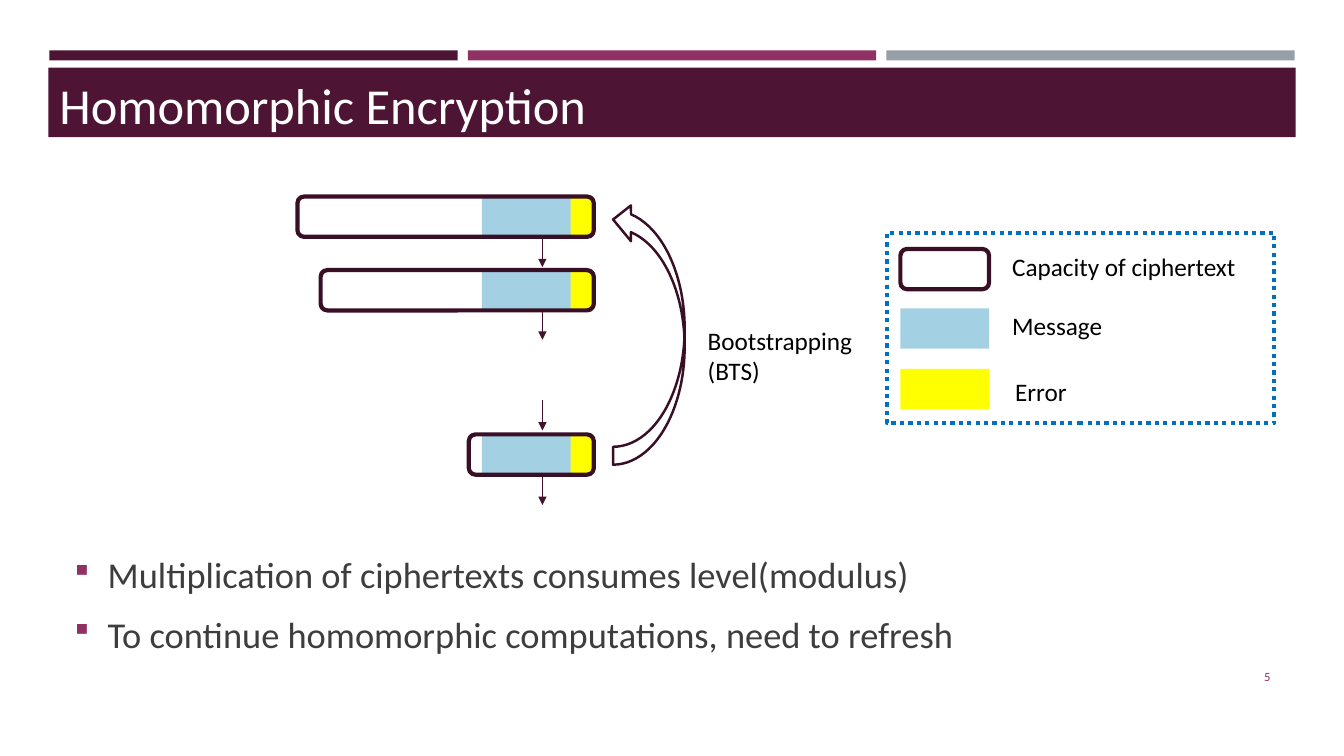
from dataclasses import dataclass

from lxml import etree
from pptx import Presentation
from pptx.dml.color import RGBColor
from pptx.enum.dml import MSO_LINE
from pptx.enum.shapes import MSO_CONNECTOR, MSO_SHAPE
from pptx.enum.text import MSO_ANCHOR, PP_ALIGN
from pptx.oxml.ns import qn
from pptx.util import Inches, Pt

RECT = MSO_SHAPE.RECTANGLE
ROUNDED = MSO_SHAPE.ROUNDED_RECTANGLE
CURVED_ARROW = MSO_SHAPE.CURVED_LEFT_ARROW
STRAIGHT = MSO_CONNECTOR.STRAIGHT
DOTTED = MSO_LINE.ROUND_DOT
TOP, MIDDLE = MSO_ANCHOR.TOP, MSO_ANCHOR.MIDDLE
LEFT, RIGHT = PP_ALIGN.LEFT, PP_ALIGN.RIGHT


@dataclass(frozen=True)
class Theme:
    font: str = "Calibri"
    plum: str = "4D1434"
    berry: str = "903163"
    grey: str = "969FA7"
    outline: str = "390F26"
    arrow: str = "45122F"
    message: str = "A3D0E2"
    error: str = "FFFF00"
    frame: str = "0070C0"
    white: str = "FFFFFF"
    black: str = "000000"
    body: str = "3D3D3D"
    title_size: float = 36
    body_size: float = 26
    label_size: float = 18
    number_size: float = 9


@dataclass(frozen=True)
class Box:
    left: float
    top: float
    width: float
    height: float

    def emu(self) -> tuple:
        return tuple(Inches(v) for v in (self.left, self.top, self.width, self.height))


@dataclass(frozen=True)
class Ciphertext:
    top: float
    width: float


@dataclass(frozen=True)
class LegendLabel:
    text: str
    left: float
    top: float


THEME = Theme()
BLOCK_W, BLOCK_H = 0.88, 0.4
BAR_RIGHT, MESSAGE_LEFT = 5.89, 4.78
ARROW_X, ARROW_LENGTH = 5.38, 0.3
CIPHERTEXTS = [Ciphertext(1.95, 2.94), Ciphertext(2.68, 2.71), Ciphertext(4.31, 1.24)]
ARROW_TOPS = [2.35, 3.07, 3.97, 4.71]
LEGEND_LEFT = 8.93
LEGEND_LABELS = [
    LegendLabel("Capacity of ciphertext", 9.94, 2.44),
    LegendLabel("Message", 9.94, 3.03),
    LegendLabel("Error", 9.97, 3.68),
]
BULLETS = [
    "Multiplication of ciphertexts consumes level(modulus)",
    "To continue homomorphic computations, need to refresh",
]


def rgb(color: str) -> RGBColor:
    return RGBColor.from_string(color)


def add_block(shapes, box: Box, fill: str = "", line: str = "", weight: float = 3, kind=RECT):
    sp = shapes.add_shape(kind, *box.emu())
    sp.shadow.inherit = False
    if fill:
        sp.fill.solid()
        sp.fill.fore_color.rgb = rgb(fill)
    else:
        sp.fill.background()
    if line:
        sp.line.color.rgb = rgb(line)
        sp.line.width = Pt(weight)
    else:
        sp.line.fill.background()
    return sp


def add_run(p, text: str, size: float, color: str) -> None:
    r = p.add_run()
    r.text = text
    r.font.name = THEME.font
    r.font.size = Pt(size)
    r.font.color.rgb = rgb(color)


def add_text_frame(shapes, box: Box, anchor=TOP):
    tf = shapes.add_textbox(*box.emu()).text_frame
    tf.word_wrap = True
    tf.vertical_anchor = anchor
    return tf


def add_text(shapes, box: Box, text: str, size: float, color: str, anchor=TOP, align=LEFT) -> None:
    p = add_text_frame(shapes, box, anchor).paragraphs[0]
    p.alignment = align
    add_run(p, text, size, color)


def set_bullet(p) -> None:
    pPr = p._p.get_or_add_pPr()
    pPr.set("marL", str(Inches(0.33)))
    pPr.set("indent", str(-Inches(0.33)))
    color = etree.SubElement(pPr, qn("a:buClr"))
    etree.SubElement(color, qn("a:srgbClr")).set("val", THEME.berry)
    etree.SubElement(pPr, qn("a:buSzPct")).set("val", "92000")
    etree.SubElement(pPr, qn("a:buFont")).set("typeface", "Wingdings")
    etree.SubElement(pPr, qn("a:buChar")).set("char", "§")


def add_bullets(shapes) -> None:
    tf = add_text_frame(shapes, Box(0.64, 5.27, 12.06, 1.44), MIDDLE)
    for i, text in enumerate(BULLETS):
        p = tf.add_paragraph() if i else tf.paragraphs[0]
        set_bullet(p)
        p.space_before = Pt(5.2 if i else 0)
        p.space_after = Pt(6)
        add_run(p, text, THEME.body_size, THEME.body)


def add_arrow(shapes, top: float) -> None:
    x = Inches(ARROW_X)
    line = shapes.add_connector(STRAIGHT, x, Inches(top), x, Inches(top + ARROW_LENGTH))
    line.line.color.rgb = rgb(THEME.arrow)
    line.line.width = Pt(1)
    etree.SubElement(line.line._get_or_add_ln(), qn("a:tailEnd")).set("type", "triangle")
    etree.SubElement(line._element.spPr, qn("a:effectLst"))


def add_ciphertext(shapes, bar: Ciphertext) -> None:
    add_block(shapes, Box(BAR_RIGHT - BLOCK_W, bar.top, BLOCK_W, BLOCK_H), THEME.error)
    add_block(shapes, Box(MESSAGE_LEFT, bar.top, BLOCK_W, BLOCK_H), THEME.message)
    capacity = Box(BAR_RIGHT - bar.width, bar.top, bar.width, BLOCK_H)
    add_block(shapes, capacity, line=THEME.outline, kind=ROUNDED)


def add_bootstrapping(shapes) -> None:
    sp = add_block(shapes, Box(6.08, 2, 0.71, 2.61), line=THEME.outline, weight=1.75, kind=CURVED_ARROW)
    sp.rotation = 180
    sp._element.spPr.find(qn("a:xfrm")).set("flipH", "1")
    box = Box(6.92, 3.18, 1.79, 0.71)
    add_text(shapes, box, "Bootstrapping (BTS)", THEME.label_size, THEME.black)


def add_legend(shapes) -> None:
    group = shapes.add_group_shape().shapes
    add_block(group, Box(LEGEND_LEFT, 3.06, BLOCK_W, BLOCK_H), THEME.message)
    add_block(group, Box(LEGEND_LEFT, 3.66, BLOCK_W, BLOCK_H), THEME.error)
    add_block(group, Box(LEGEND_LEFT, 2.47, BLOCK_W, BLOCK_H), line=THEME.outline, kind=ROUNDED)
    frame = add_block(group, Box(8.8, 2.31, 3.84, 1.89), line=THEME.frame)
    frame.line.dash_style = DOTTED
    for label in LEGEND_LABELS:
        box = Box(label.left, label.top, 2.51, 0.4)
        add_text(group, box, label.text, THEME.label_size, THEME.black)


def main() -> None:
    prs = Presentation()
    prs.slide_width, prs.slide_height = Inches(13.33), Inches(7.5)
    shapes = prs.slides.add_slide(prs.slide_layouts[6]).shapes
    for i, color in enumerate((THEME.plum, THEME.berry, THEME.grey)):
        add_block(shapes, Box(0.49 + 4.15 * i, 0.5, 4.05, 0.1), color)
    add_block(shapes, Box(0.48, 0.67, 12.37, 0.69), THEME.plum)
    title = Box(0.49, 0.69, 12.35, 0.71)
    add_text(shapes, title, "Homomorphic Encryption", THEME.title_size, THEME.white)
    add_bullets(shapes)
    number = Box(11.55, 6.51, 1.15, 0.4)
    add_text(shapes, number, "5", THEME.number_size, THEME.berry, MIDDLE, RIGHT)
    for top in ARROW_TOPS:
        add_arrow(shapes, top)
    add_bootstrapping(shapes)
    for bar in CIPHERTEXTS:
        add_ciphertext(shapes, bar)
    add_legend(shapes)
    prs.save("out.pptx")


if __name__ == "__main__":
    main()
